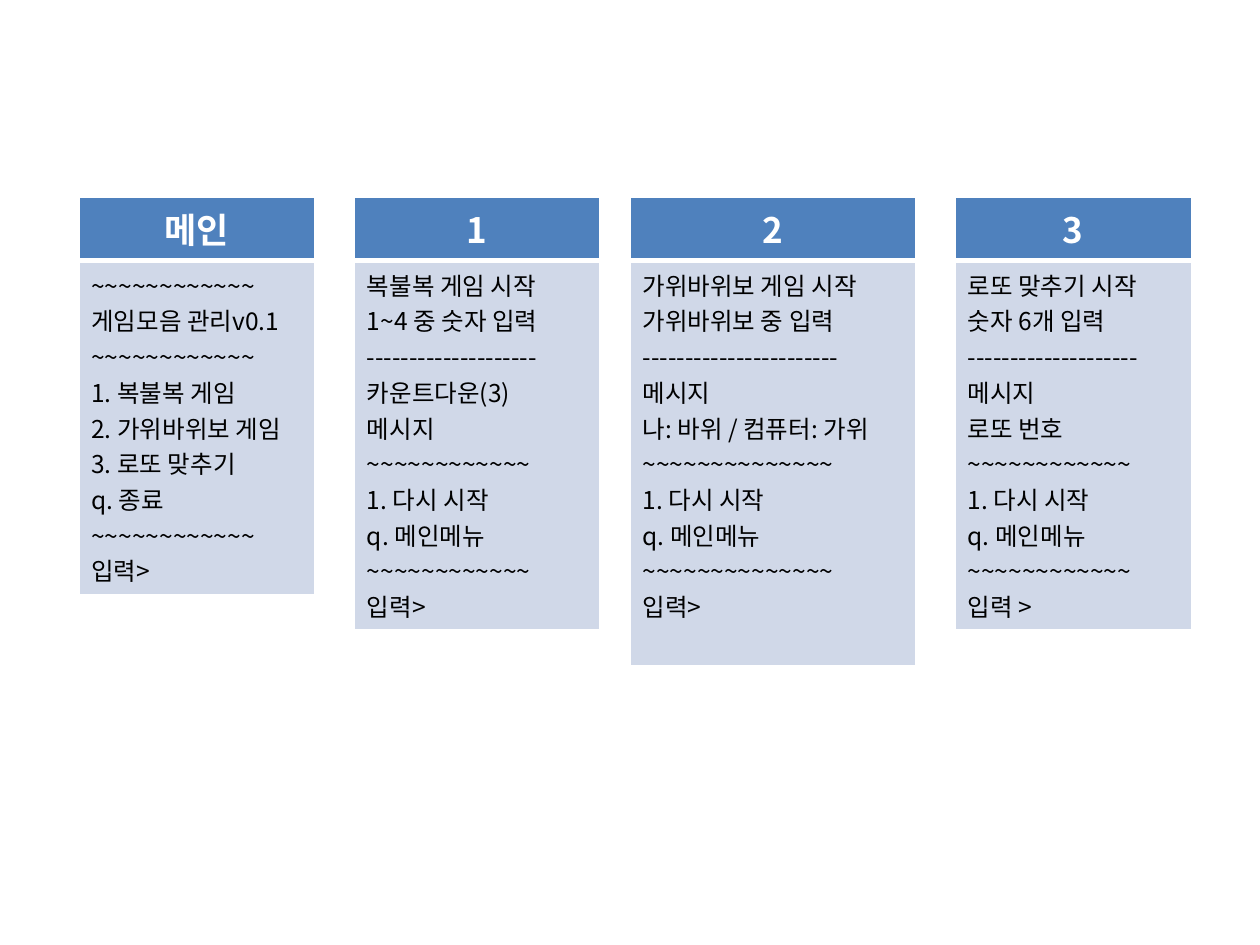
from lxml.etree import SubElement
from pptx import Presentation
from pptx.dml.color import RGBColor
from pptx.enum.text import PP_ALIGN
from pptx.oxml.ns import qn
from pptx.util import Pt


def color(code):
    return RGBColor.from_string(code)


class Deck:
    font = "Noto Sans CJK KR"
    white, black, blue, pale = "FFFFFF", "000000", "4F81BD", "D0D8E8"
    line = 20.3
    hang = 27

    def __init__(self, wide, high):
        self.file = Presentation()
        self.file.slide_width, self.file.slide_height = Pt(wide), Pt(high)
        self.slide = self.file.slides.add_slide(self.file.slide_layouts[6])

    def edge(self, cell, sizes):
        props = cell._tc.get_or_add_tcPr()
        for side, size in zip("LRTB", sizes):
            rule = SubElement(props, qn("a:ln" + side), w=str(Pt(size)))
            fill = SubElement(rule, qn("a:solidFill"))
            SubElement(fill, qn("a:srgbClr"), val=self.white)

    def cell(self, cell, text, size, ink, back, bold, sizes):
        self.edge(cell, sizes)
        cell.fill.solid()
        cell.fill.fore_color.rgb = color(back)
        cell.text_frame.text = text
        for para in cell.text_frame.paragraphs:
            for run in para.runs:
                run.font.size, run.font.bold = Pt(size), bold
                run.font.name = self.font
                run.font.color.rgb = color(ink)
                SubElement(run._r.get_or_add_rPr(), qn("a:ea"), typeface=self.font)

    def menu(self, left, top, width, title, lines):
        high = self.line * len(lines) + 7.2
        table = self.slide.shapes.add_table(
            2, 1, Pt(left), Pt(top), Pt(width), Pt(36 + high)).table
        table.columns[0].width = Pt(width)
        table.rows[0].height, table.rows[1].height = Pt(36), Pt(high)
        head, body = table.cell(0, 0), table.cell(1, 0)
        self.cell(head, title, 20, self.white, self.blue, True, (1, 1, 1, 3))
        head.text_frame.paragraphs[0].alignment = PP_ALIGN.CENTER
        self.cell(body, "\n".join(lines), 14, self.black, self.pale, False, (1, 1, 3, 1))
        for para in body.text_frame.paragraphs:
            props = para._p.get_or_add_pPr()
            props.set("marL", str(Pt(self.hang)))
            props.set("indent", str(-Pt(self.hang)))

    def save(self):
        self.file.save("out.pptx")


wave = "~" * 12
long = "~" * 14
dash = "-" * 20
again = ["1. 다시 시작", "q. 메인메뉴"]

menus = [
    (45, 135, "메인", [wave, "게임모음 관리v0.1", wave, "1. 복불복 게임",
                      "2. 가위바위보 게임", "3. 로또 맞추기", "q. 종료", wave, "입력> "]),
    (202.5, 140.4, "1", ["복불복 게임 시작", "1~4 중 숫자 입력", dash, "카운트다운(3)",
                         "메시지", wave, *again, wave, "입력> "]),
    (360, 163.4, "2", ["가위바위보 게임 시작", "가위바위보 중 입력", "-" * 23, "메시지",
                       "나: 바위 / 컴퓨터: 가위", long, *again, long, "입력> "]),
    (545.8, 135, "3", ["로또 맞추기 시작", "숫자 6개 입력", dash, "메시지",
                       "로또 번호", wave, *again, wave, "입력 >"]),
]

deck = Deck(720, 540)
for left, width, title, lines in menus:
    deck.menu(left, 112.5, width, title, lines)
deck.save()
